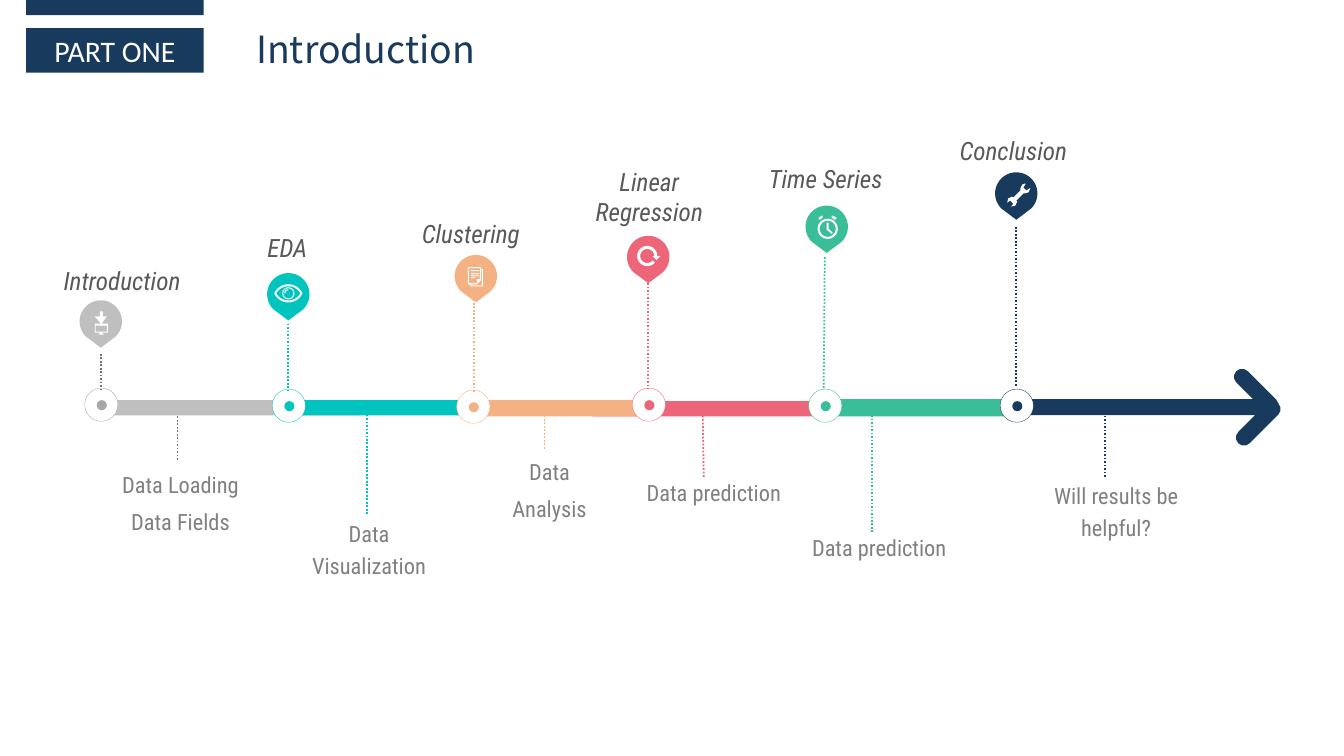
"""Build a timeline slide of six project stages with pins, icons and notes."""
from collections import namedtuple
from math import asin, cos, degrees, radians, sin

from lxml import etree
from pptx import Presentation
from pptx.dml.color import RGBColor
from pptx.enum.dml import MSO_LINE
from pptx.enum.shapes import MSO_CONNECTOR, MSO_SHAPE
from pptx.enum.text import MSO_ANCHOR, PP_ALIGN
from pptx.oxml.ns import qn
from pptx.util import Inches, Pt

RECTANGLE, ROUNDED, OVAL = MSO_SHAPE.RECTANGLE, MSO_SHAPE.ROUNDED_RECTANGLE, MSO_SHAPE.OVAL
STRAIGHT, DOTTED = MSO_CONNECTOR.STRAIGHT, MSO_LINE.ROUND_DOT
TOP, MIDDLE, LEFT, CENTER = MSO_ANCHOR.TOP, MSO_ANCHOR.MIDDLE, PP_ALIGN.LEFT, PP_ALIGN.CENTER
NAVY = RGBColor(0x18, 0x3A, 0x5D)
TEAL = RGBColor(0x01, 0xC4, 0xBE)
ORANGE = RGBColor(0xF4, 0xB1, 0x83)
RED = RGBColor(0xED, 0x65, 0x79)
GREEN = RGBColor(0x3A, 0xBE, 0x99)
SILVER = RGBColor(0xBF, 0xBF, 0xBF)
GRAY = RGBColor(0xA6, 0xA6, 0xA6)
STEM_GRAY = RGBColor(0x76, 0x71, 0x71)
LABEL_GRAY = RGBColor(0x59, 0x59, 0x59)
NOTE_GRAY = RGBColor(0x80, 0x80, 0x80)
WHITE = RGBColor(0xFF, 0xFF, 0xFF)
TITLE_FONT, TAG_FONT, BODY_FONT = "Noto Sans CJK SC", "Calibri", "Roboto Condensed"
TEXT_WIDTH, LABEL_HEIGHT = 1.62, 0.42
RING, DOT, PIN_RADIUS, PIN_HEIGHT = 0.33, 0.1, 0.21, 0.47


def arc(x, y, radius, start=0, end=360, steps=32):
    """Return points along a circular arc, with angles in degrees clockwise."""
    angles = [radians(start + (end - start) * step / steps) for step in range(steps + 1)]
    return [(x + radius * cos(angle), y + radius * sin(angle)) for angle in angles]


def almond(x, y, half_width, half_height):
    """Return the outline of a pointed oval."""
    radius = (half_width ** 2 + half_height ** 2) / (2 * half_height)
    spread, offset = degrees(asin(half_width / radius)), radius - half_height
    return (arc(x, y + offset, radius, 270 - spread, 270 + spread)
            + arc(x, y - offset, radius, 90 - spread, 90 + spread))


def block(left, top, right, bottom):
    """Return the corners of an upright rectangle."""
    return [(left, top), (right, top), (right, bottom), (left, bottom)]


DOWNLOAD_ICON = [
    [(1.07, 3.21), (1.01, 3.21), (1.06, 3.14), (1.02, 3.14), (1.02, 3.09), (0.99, 3.09), (0.99, 3.14), (0.94, 3.14),
     (1, 3.21), (0.94, 3.21), (0.94, 3.3), (0.99, 3.3), (0.98, 3.32), (1.03, 3.32), (1.01, 3.3), (1.07, 3.3)],
    block(0.95, 3.23, 1.06, 3.29)]
EYE_ICON = [
    almond(2.86, 2.91, 0.14, 0.09), almond(2.86, 2.91, 0.12, 0.07), arc(2.86, 2.91, 0.06), arc(2.86, 2.91, 0.05),
    arc(2.86, 2.91, 0.04, 180, 270) + arc(2.86, 2.91, 0.03, 270, 180)]
NOTE_ICON = [
    *[block(4.67, top, 4.75, top + 0.01) for top in (2.68, 2.71, 2.73)], block(4.67, 2.75, 4.71, 2.76),
    [(4.77, 2.67), (4.77, 2.65), (4.64, 2.65), (4.64, 2.82), (4.66, 2.82), (4.66, 2.84), (4.79, 2.84), (4.79, 2.67)],
    [(4.65, 2.81), (4.65, 2.66), (4.76, 2.66), (4.76, 2.77), (4.73, 2.77), (4.73, 2.81)],
    [(4.78, 2.83), (4.67, 2.83), (4.67, 2.82), (4.73, 2.82), (4.77, 2.78), (4.77, 2.68), (4.78, 2.68)]]
REFRESH_ICON = [arc(6.42, 2.54, 0.1, 40, 360) + [(6.55, 2.54), (6.51, 2.58), (6.47, 2.54)]
                + arc(6.42, 2.54, 0.07, 360, 40)]
CLOCK_ICON = [
    arc(8.21, 2.27, 0.1), arc(8.21, 2.27, 0.08),
    [(8.2, 2.21), (8.22, 2.21), (8.22, 2.27), (8.26, 2.31), (8.25, 2.32), (8.2, 2.28)],
    [(8.25, 2.14), (8.26, 2.14), (8.3, 2.16), (8.29, 2.18), (8.28, 2.18), (8.25, 2.16)],
    [(8.16, 2.14), (8.15, 2.14), (8.12, 2.16), (8.12, 2.18), (8.13, 2.18), (8.16, 2.16)]]
WRENCH_ICON = [
    [(10.21, 1.87), (10.18, 1.89), (10.15, 1.86), (10.17, 1.83), (10.17, 1.82), (10.14, 1.83), (10.12, 1.87),
     (10.12, 1.89), (10.05, 1.96), (10.04, 1.95), (10, 1.97), (9.99, 2.01), (10.02, 1.99), (10.05, 2.02),
     (10.03, 2.05), (10.07, 2.04), (10.09, 2), (10.08, 1.99), (10.15, 1.92), (10.16, 1.92), (10.2, 1.91), (10.22, 1.87)]]

Stage = namedtuple("Stage", "name color ring_color stem_color bar ring pin label stem drop note note_lines icon")
STAGES = [
    Stage("Introduction", SILVER, GRAY, STEM_GRAY, (1, 3.97, 2.64, 0.15), (0.84, 3.85), (0.79, 2.98), (0.4, 2.58),
          (1, 3.51, 1, 3.87), (1.76, 4.13, 1.76, 4.56), (0.98, 4.57, 0.55), ("Data Loading", "Data Fields"),
          DOWNLOAD_ICON),
    Stage("EDA", TEAL, TEAL, TEAL, (2.84, 3.97, 2.6, 0.15), (2.7, 3.86), (2.65, 2.71), (2.04, 2.26),
          (2.86, 3.21, 2.86, 3.87), (3.64, 5.1, 3.64, 4.09), (2.85, 5.06, 2.26), ("Data Visualization",), EYE_ICON),
    Stage("Linear Regression", RED, RED, RED, (5.81, 3.98, 2.33, 0.15), (6.27, 3.85), (6.22, 2.34), (5.63, 1.6),
          (6.43, 2.81, 6.43, 3.85), (6.98, 4.73, 6.97, 4.11), (6.27, 4.65, 2.13), ("Data prediction",), REFRESH_ICON),
    Stage("Clustering", ORANGE, ORANGE, ORANGE, (4.67, 3.97, 1.77, 0.16), (4.53, 3.87), (4.51, 2.53), (3.86, 2.12),
          (4.7, 2.9, 4.7, 3.89), (5.4, 4.45, 5.4, 4.11), (4.64, 4.44, 2.13), ("Data", "Analysis"), NOTE_ICON),
    Stage("Time Series", GREEN, GREEN, GREEN, (8.08, 3.96, 2.18, 0.17), (8.02, 3.86), (7.99, 2.04), (7.38, 1.57),
          (8.18, 2.55, 8.17, 3.86), (8.65, 5.28, 8.65, 4.13), (7.91, 5.2, 1.94), ("Data prediction",), CLOCK_ICON),
    Stage("Conclusion", NAVY, NAVY, NAVY, (9.92, 3.96, 2.63, 0.16), (9.92, 3.86), (9.87, 1.71), (9.24, 1.29),
          (10.08, 2.25, 10.08, 3.83), (10.96, 4.73, 10.96, 4.02), (10.26, 4.68, 2.07), ("Will results be helpful?",),
          WRENCH_ICON)]


class TimelinePage:
    """Hold the current slide and draw its elements in one style."""

    def __init__(self, page):
        self.page = page

    def shape(self, kind, place, fill, line=None, rotation=0):
        """Add a filled preset shape."""
        shape = self.page.shapes.add_shape(kind, *map(Inches, place))
        if kind == ROUNDED:
            shape.adjustments[0] = 0.5
        shape.rotation = rotation
        return self.paint(shape, fill, line)

    def paint(self, shape, fill, line=None):
        """Set the fill and outline of a shape."""
        shape.shadow.inherit = False
        shape.fill.solid()
        shape.fill.fore_color.rgb = fill
        if line is None:
            shape.line.fill.background()
        else:
            shape.line.color.rgb, shape.line.width = line, Pt(0.25)
        return shape

    def outline(self, contours, fill):
        """Add a freeform made of closed contours."""
        first, *others = [[(Inches(x), Inches(y)) for x, y in contour] for contour in contours]
        builder = self.page.shapes.build_freeform(*first[0])
        builder.add_line_segments(first[1:], close=True)
        for points in others:
            builder.move_to(*points[0])
            builder.add_line_segments(points[1:], close=True)
        self.paint(builder.convert_to_shape(), fill)

    def pin(self, left, top, fill):
        """Add a round map pin that points down."""
        x, y = left + PIN_RADIUS, top + PIN_RADIUS
        self.outline([arc(x, y, PIN_RADIUS, 135, 405) + [(x, top + PIN_HEIGHT)]], fill)

    def stem(self, ends, color):
        """Add a dotted line."""
        stem = self.page.shapes.add_connector(STRAIGHT, *map(Inches, ends))
        stem.line.color.rgb, stem.line.width, stem.line.dash_style = color, Pt(1.25), DOTTED
        etree.SubElement(stem._element.spPr, qn("a:effectLst"))

    def letter(self, box, lines, font, size, color, align=CENTER, anchor=TOP, italic=False, spacing=None):
        """Put one paragraph for each line of text into a box."""
        frame = box.text_frame
        frame.word_wrap, frame.vertical_anchor = True, anchor
        for index, text in enumerate(lines):
            para = frame.add_paragraph() if index else frame.paragraphs[0]
            para.alignment, para.line_spacing = align, spacing
            para.space_before = Pt(3.5 if index else 0)
            span = para.add_run()
            span.text = text
            span.font.name, span.font.size = font, Pt(size)
            span.font.italic, span.font.color.rgb = italic, color

    def text(self, left, top, height, lines, **style):
        """Add a text box in the body font."""
        box = self.page.shapes.add_textbox(*map(Inches, (left, top, TEXT_WIDTH, height)))
        self.letter(box, lines, BODY_FONT, **style)

    def title(self, text):
        """Place and format the slide title."""
        box = self.page.shapes.title
        box.left, box.top, box.width, box.height = map(Inches, (2.44, 0.21, 6.62, 0.55))
        box.text_frame.margin_top = box.text_frame.margin_bottom = 0
        self.letter(box, [text], TITLE_FONT, 26.7, NAVY, LEFT, MIDDLE)


def main():
    """Create the deck and save it."""
    deck = Presentation()
    deck.slide_width, deck.slide_height = Inches(13.33), Inches(7.5)
    page = TimelinePage(deck.slides.add_slide(deck.slide_layouts[5]))
    page.title("Introduction")
    page.shape(RECTANGLE, (0.26, 0, 1.76, 0.15), NAVY)
    tag = page.shape(RECTANGLE, (0.26, 0.28, 1.76, 0.44), NAVY)
    page.letter(tag, ["PART ONE"], TAG_FONT, 21.3, WHITE, anchor=MIDDLE)
    for stage in STAGES:
        page.shape(ROUNDED, stage.bar, stage.color)
    for left, top, rotation in ((12.18, 3.8, 45), (12.2, 4.12, 315)):
        page.shape(ROUNDED, (left, top, 0.56, 0.16), NAVY, rotation=rotation)
    for stage in STAGES:
        page.shape(OVAL, (*stage.ring, RING, RING), WHITE, stage.ring_color)
        page.shape(OVAL, (*[edge + 0.12 for edge in stage.ring], DOT, DOT), stage.ring_color)
        page.stem(stage.stem, stage.stem_color)
        page.stem(stage.drop, stage.stem_color)
        page.pin(*stage.pin, stage.color)
        page.outline(stage.icon, WHITE)
        page.text(*stage.label, LABEL_HEIGHT, [stage.name], size=18, color=LABEL_GRAY, italic=True)
        page.text(*stage.note, stage.note_lines, size=16, color=NOTE_GRAY, spacing=1.2)
    deck.save("out.pptx")


if __name__ == "__main__":
    main()
